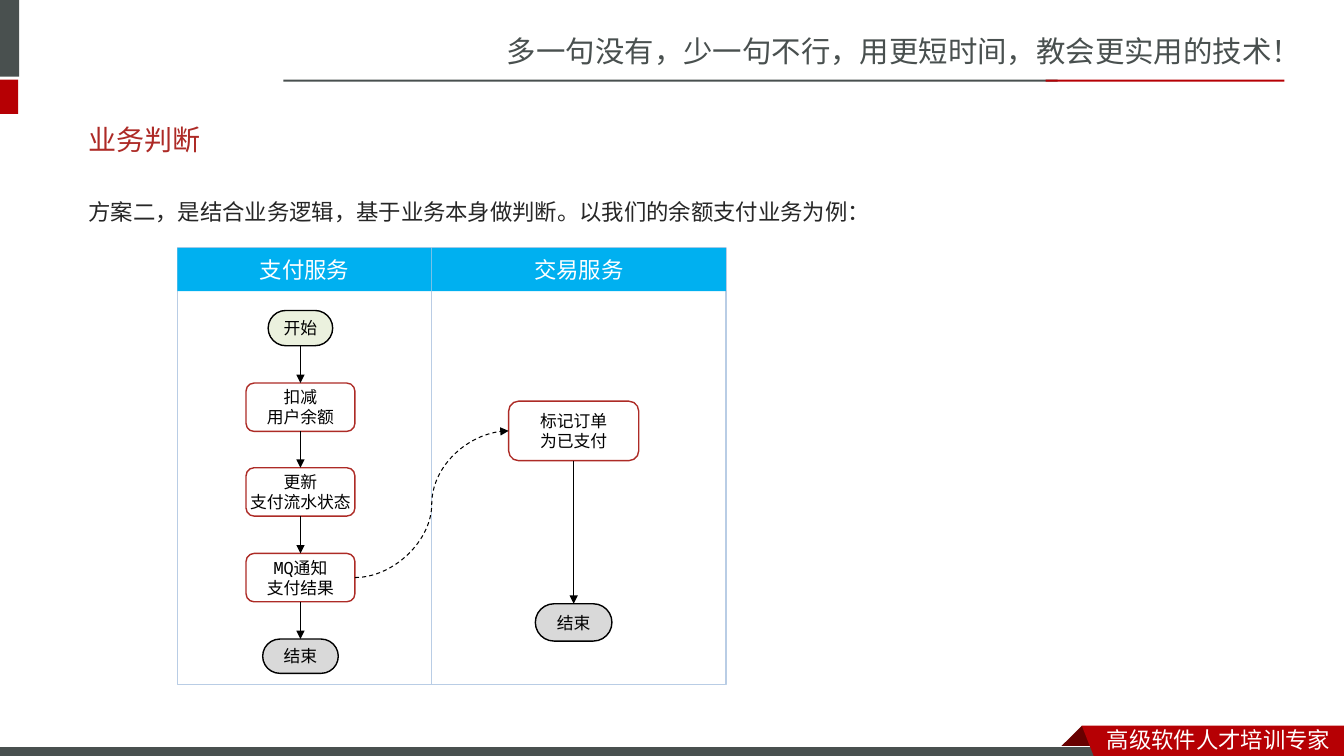
from itertools import pairwise

from pptx import Presentation
from pptx.dml.color import RGBColor
from pptx.enum.dml import MSO_LINE_DASH_STYLE as DASH
from pptx.enum.shapes import MSO_CONNECTOR as LINK, MSO_SHAPE as SHAPE
from pptx.enum.text import MSO_ANCHOR as ANCHOR, PP_ALIGN as ALIGN
from pptx.oxml.ns import qn
from pptx.util import Inches, Pt
from lxml.etree import SubElement

GRAY = RGBColor(0x49, 0x50, 0x4F)
RED = RGBColor(0xB6, 0x00, 0x04)
DARK = RGBColor(0x68, 0x00, 0x00)
BRICK = RGBColor(0xAD, 0x2B, 0x26)
TITLE = RGBColor(0xAD, 0x2A, 0x26)
INK = RGBColor(0x26, 0x26, 0x26)
BLACK = RGBColor(0, 0, 0)
WHITE = RGBColor(0xFF, 0xFF, 0xFF)
BLUE = RGBColor(0x00, 0xB0, 0xF0)
PALE = RGBColor(0xB9, 0xCD, 0xE5)
GREEN = RGBColor(0xEB, 0xF1, 0xDE)
SILVER = RGBColor(0xD9, 0xD9, 0xD9)

SANS, MONO = "Noto Sans CJK SC", "Noto Sans Mono"
TOP, LEFT, BOTTOM, RIGHT = range(4)


def write(shape, lines, size, font, color, align=ALIGN.LEFT):
    frame = shape.text_frame
    for i, line in enumerate(lines):
        para = frame.paragraphs[0] if i == 0 else frame.add_paragraph()
        para.alignment = align
        run = para.add_run()
        run.text = line
        run.font.size = Pt(size)
        run.font.name = font
        run.font.color.rgb = color
        SubElement(run.font._element, qn("a:ea")).set("typeface", font)
    return frame


def paint(shape, fill=None, line=None, width=1):
    shape.shadow.inherit = False
    if fill is None:
        shape.fill.background()
    else:
        shape.fill.solid()
        shape.fill.fore_color.rgb = fill
    if line is None:
        shape.line.fill.background()
    else:
        shape.line.color.rgb = line
        shape.line.width = Pt(width)
    return shape


def block(slide, x, y, w, h, fill=None, line=None, width=1, kind=SHAPE.RECTANGLE):
    shape = slide.shapes.add_shape(kind, Inches(x), Inches(y), Inches(w), Inches(h))
    return paint(shape, fill, line, width)


def label(slide, x, y, w, h, text, size, font, color, wrap=False):
    box = slide.shapes.add_textbox(Inches(x), Inches(y), Inches(w), Inches(h))
    frame = write(box, [text], size, font, color)
    frame.word_wrap = wrap
    return frame


def outline(slide, points, fill):
    start, *rest = [(Inches(x), Inches(y)) for x, y in points]
    form = slide.shapes.build_freeform(*start)
    form.add_line_segments(rest, close=True)
    return paint(form.convert_to_shape(), fill)


def node(slide, x, y, w, h, lines, fill=WHITE, line=BRICK, pill=False):
    """Rounded box, centred on x."""
    shape = block(slide, x - w / 2, y, w, h, fill, line, kind=SHAPE.ROUNDED_RECTANGLE)
    if pill:
        shape.adjustments[0] = 0.5
    frame = write(shape, lines, 12, MONO, BLACK, ALIGN.CENTER)
    frame.word_wrap = True
    frame.vertical_anchor = ANCHOR.MIDDLE
    frame.margin_left = frame.margin_right = 0
    return shape


def arrow(slide, src, dst, kind=LINK.STRAIGHT, out=BOTTOM, into=TOP):
    link = slide.shapes.add_connector(kind, 0, 0, 0, 0)
    link.begin_connect(src, out)
    link.end_connect(dst, into)
    link.line.color.rgb = BLACK
    link.line.width = Pt(0.75)
    if kind == LINK.CURVE:
        link.line.dash_style = DASH.DASH
    SubElement(link.line._get_or_add_ln(), qn("a:tailEnd")).set("type", "triangle")
    SubElement(link._element.spPr, qn("a:effectLst"))


def header(slide, x, y):
    # Corner tabs
    block(slide, x - 0.06, y, 0.25, 0.76, GRAY)
    block(slide, x - 0.06, y + 0.79, 0.24, 0.34, RED)
    # Slogan and rule
    label(slide, x + 4.93, y + 0.28, 8.41, 0.47,
          "多一句没有，少一句不行，用更短时间，教会更实用的技术！", 21, SANS, GRAY)
    block(slide, x + 2.81, y + 0.79, 7.68, 0.02, GRAY)
    block(slide, x + 10.37, y + 0.79, 2.37, 0.02, RED)


def footer(slide, x, y):
    # Ribbon fold, bar and ribbon
    fold = [(10.73, 0), (10.95, 0.22), (10.94, 0.23), (10.52, 0.23), (10.51, 0.22)]
    ribbon = [(10.73, 0), (13.33, 0), (13.33, 0.34), (10.86, 0.33)]
    outline(slide, [(x + a, y + b) for a, b in fold], DARK)
    block(slide, x - 0.01, y + 0.21, 11, 0.12, GRAY, WHITE, 0.75)
    outline(slide, [(x + a, y + b) for a, b in ribbon], RED)
    label(slide, x + 10.88, y - 0.05, 2.45, 0.37, "高级软件人才培训专家", 16, SANS, WHITE)


def intro(slide, x, y, w):
    title = label(slide, x, y, w, 0.44, "业务判断", 20, "Lato", TITLE, True)
    title.vertical_anchor = ANCHOR.MIDDLE
    body = label(slide, x, y + 0.62, w, 0.52,
                 "方案二，是结合业务逻辑，基于业务本身做判断。以我们的余额支付业务为例：",
                 16, "Noto Sans CJK JP", INK, True)
    body.paragraphs[0].line_spacing = 1.5


def lane(slide, x, y, w, h, name):
    block(slide, x, y, w, h, line=PALE)
    head = block(slide, x, y, w, 0.43, BLUE)
    frame = write(head, [name], 16, MONO, WHITE, ALIGN.CENTER)
    frame.vertical_anchor = ANCHOR.MIDDLE


def pay(slide, x, y, w, h):
    """Payment lane; returns the step that notifies the trade lane."""
    lane(slide, x, y, w, h, "支付服务")
    mid = x + 1.22
    steps = [
        (1.34, ["扣减", "用户余额"]),
        (2.18, ["更新", "支付流水状态"]),
        (3.03, ["MQ通知", "支付结果"]),
    ]
    chain = [node(slide, mid, y + 0.62, 0.64, 0.35, ["开始"], GREEN, BLACK, True)]
    chain += [node(slide, mid, y + top, 1.08, 0.48, lines) for top, lines in steps]
    chain.append(node(slide, mid, y + 3.88, 0.75, 0.34, ["结束"], SILVER, BLACK, True))
    for src, dst in pairwise(chain):
        arrow(slide, src, dst)
    return chain[-2]


def trade(slide, x, y, w, h):
    """Trade lane; returns the step that is notified."""
    lane(slide, x, y, w, h, "交易服务")
    mid = x + 1.41
    mark = node(slide, mid, y + 1.52, 1.29, 0.59, ["标记订单", "为已支付"])
    end = node(slide, mid, y + 3.53, 0.76, 0.37, ["结束"], SILVER, BLACK, True)
    arrow(slide, mark, end)
    return mark


def flow(slide, x, y, h):
    notice = pay(slide, x, y, 2.52, h)
    mark = trade(slide, x + 2.52, y, 2.92, h)
    arrow(slide, notice, mark, LINK.CURVE, RIGHT, LEFT)


def main():
    deck = Presentation()
    deck.slide_width, deck.slide_height = Inches(13.33), Inches(7.5)
    slide = deck.slides.add_slide(deck.slide_layouts[6])
    header(slide, 0, 0)
    footer(slide, 0, 7.2)
    intro(slide, 0.78, 1.16, 11.7)
    flow(slide, 1.76, 2.46, 4.33)
    deck.save("out.pptx")


if __name__ == "__main__":
    main()
